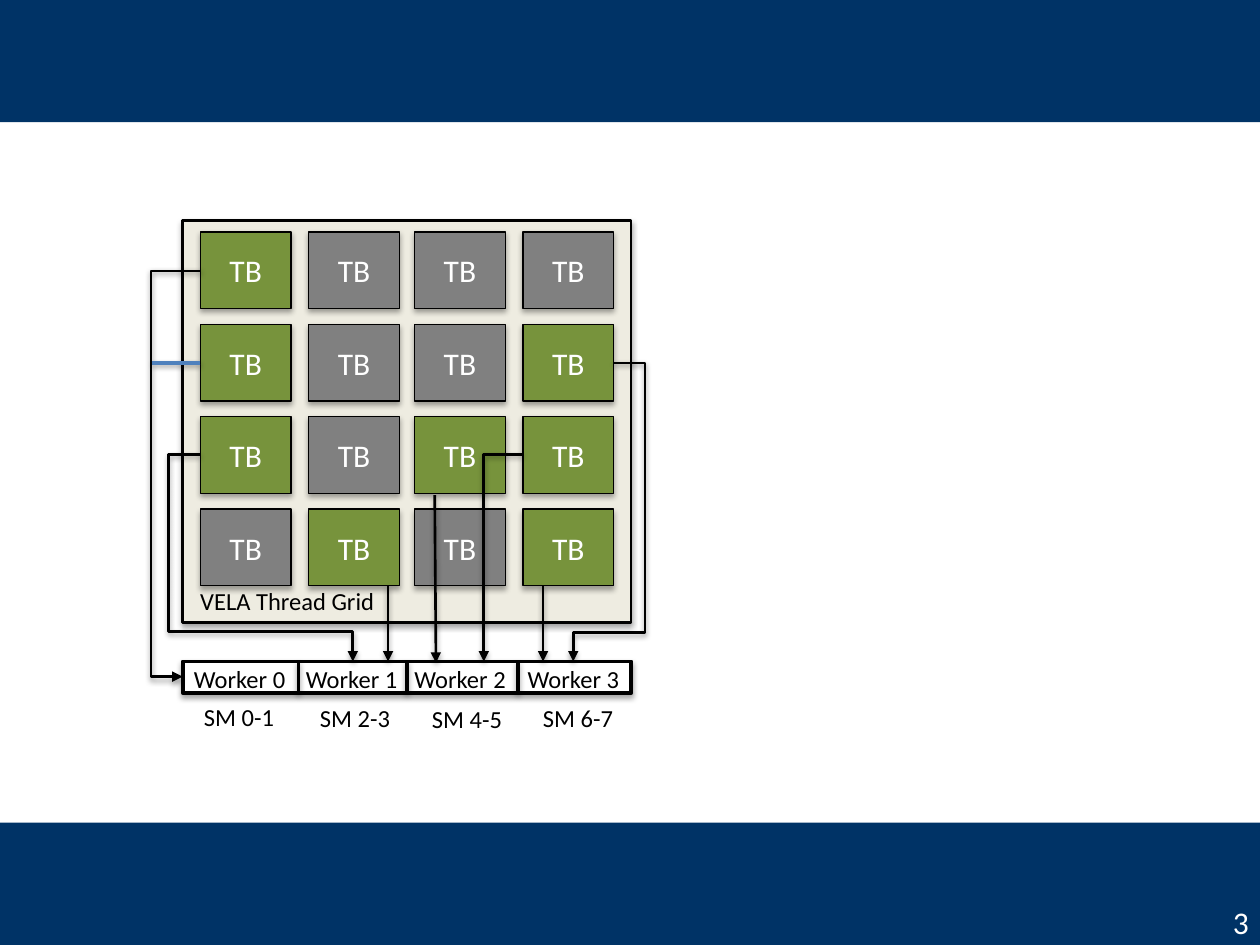
from dataclasses import dataclass

from lxml import etree
from pptx import Presentation
from pptx.dml.color import RGBColor
from pptx.enum.shapes import MSO_CONNECTOR, MSO_SHAPE
from pptx.enum.text import MSO_ANCHOR, PP_ALIGN
from pptx.oxml.ns import qn
from pptx.util import Inches, Pt

RECT = MSO_SHAPE.RECTANGLE
STRAIGHT, ELBOW = MSO_CONNECTOR.STRAIGHT, MSO_CONNECTOR.ELBOW
LEFT, CENTER, RIGHT = PP_ALIGN.LEFT, PP_ALIGN.CENTER, PP_ALIGN.RIGHT
TOP, MIDDLE = MSO_ANCHOR.TOP, MSO_ANCHOR.MIDDLE
COLORS = {
    "band": "003366", "grid": "EEECE1", "active": "77933C", "idle": "808080",
    "white": "FFFFFF", "black": "000000", "blue": "4F81BD",
}
FONT = "Calibri"
Point = tuple[float, float]


@dataclass
class Worker:
    name: str
    name_left: float
    multiprocessors: str
    sm_left: float
    sm_top: float


@dataclass
class Route:
    start: Point
    end: Point
    bends: tuple[float, ...] = ()  # x of the first bend, then y of the second
    preset: str = "line"
    color: str = "black"
    width: float = 1.5
    arrow: bool = True


def rgb(color: str) -> RGBColor:
    return RGBColor.from_string(COLORS[color])


def write(frame, text: str, *, size: float = 14, color: str = "black",
          align=LEFT, anchor=TOP) -> None:
    frame.word_wrap = True
    frame.vertical_anchor = anchor
    paragraph = frame.paragraphs[0]
    paragraph.alignment = align
    run = paragraph.add_run()
    run.text = text
    run.font.name, run.font.size = FONT, Pt(size)
    run.font.color.rgb = rgb(color)


def add_label(slide, text: str, left: float, top: float,
              width: float = 0.93, height: float = 0.34, **style) -> None:
    label = slide.shapes.add_textbox(*map(Inches, (left, top, width, height)))
    write(label.text_frame, text, **style)


def add_shadow(properties, distance: float, opacity: int) -> None:
    effects = properties.find(qn("a:effectLst"))
    if effects is None:
        effects = etree.SubElement(properties, qn("a:effectLst"))
    shadow = etree.SubElement(
        effects, qn("a:outerShdw"), blurRad=str(Pt(3.15)), dist=str(Pt(distance)),
        dir="5400000", rotWithShape="0")
    tint = etree.SubElement(shadow, qn("a:srgbClr"), val=COLORS["black"])
    etree.SubElement(tint, qn("a:alpha"), val=str(opacity * 1000))


def add_box(slide, left: float, top: float, width: float, height: float,
            fill: str, border: float = 0):
    box = slide.shapes.add_shape(RECT, *map(Inches, (left, top, width, height)))
    box.shadow.inherit = False
    box.fill.solid()
    box.fill.fore_color.rgb = rgb(fill)
    if border:
        box.line.color.rgb = rgb("black")
        box.line.width = Pt(border)
        add_shadow(box._element.spPr, 1.8, 35)
    else:
        box.line.fill.background()
    return box


def add_route(slide, route: Route) -> None:
    kind = STRAIGHT if route.preset == "line" else ELBOW
    line = slide.shapes.add_connector(kind, *map(Inches, route.start + route.end))
    line.line.color.rgb = rgb(route.color)
    line.line.width = Pt(route.width)
    properties = line._element.spPr
    geometry = properties.find(qn("a:prstGeom"))
    geometry.set("prst", route.preset)
    # Each bend is a share of the way from start to end along its axis
    guides = geometry.find(qn("a:avLst"))
    for axis, bend in enumerate(route.bends):
        share = (bend - route.start[axis]) / (route.end[axis] - route.start[axis])
        etree.SubElement(guides, qn("a:gd"), name=f"adj{axis + 1}",
                         fmla=f"val {round(share * 100000)}")
    if route.arrow:
        etree.SubElement(properties.find(qn("a:ln")), qn("a:tailEnd"), type="triangle")
    add_shadow(properties, 1.6, 38)


presentation = Presentation()
presentation.slide_width, presentation.slide_height = Inches(10), Inches(7.5)
slide = presentation.slides.add_slide(presentation.slide_layouts[6])

# Header and footer bands with the page number
for band_top in (0, 6.53):
    add_box(slide, 0, band_top, 10, 0.97, "band")
add_label(slide, "3", 7.68, 7.12, 2.33, 0.4, size=18, color="white", align=RIGHT)

# Thread grid: A is an active thread block, - an idle one
add_box(slide, 1.45, 1.75, 3.56, 3.19, "grid", 1.5)
BLOCK_LEFTS = (1.59, 2.45, 3.29, 4.15)
for row, states in enumerate(("A---", "A--A", "A-AA", "-A-A")):
    for block_left, state in zip(BLOCK_LEFTS, states):
        block = add_box(slide, block_left, 1.84 + row * 2.2 / 3, 0.72, 0.61,
                        "active" if state == "A" else "idle", 0.75)
        write(block.text_frame, "TB", size=18, color="white",
              align=CENTER, anchor=MIDDLE)

# Worker bar
WORKER_TOP, WORKER_BOTTOM = 5.25, 5.5
add_box(slide, 1.45, WORKER_TOP, 3.56, WORKER_BOTTOM - WORKER_TOP, "white", 2.25)
add_label(slide, "VELA Thread Grid", 1.49, 4.6, 2.62)
for divider in (3.23, 2.37, 4.11):
    add_route(slide, Route((divider, WORKER_TOP), (divider, WORKER_BOTTOM),
                           width=2, arrow=False))

# Routes from thread blocks to workers
ROUTES = (
    Route((1.59, 2.15), (1.45, 5.37), (1.2,), "bentConnector3"),
    Route((1.59, 2.88), (1.21, 2.88), color="blue", width=2, arrow=False),
    Route((1.59, 3.61), (2.8, WORKER_TOP), (1.34, 5.01), "bentConnector4"),
    Route((3.08, 4.65), (3.08, WORKER_TOP)),
    Route((3.45, 3.93), (3.46, 5.26)),
    Route((4.15, 3.61), (3.84, WORKER_TOP), preset="bentConnector2"),
    Route((4.87, 2.88), (4.55, WORKER_TOP), (5.12, 5.02), "bentConnector4"),
    Route((4.31, 4.65), (4.31, WORKER_TOP)),
)
for route in ROUTES:
    add_route(slide, route)

# Worker names and their multiprocessors
WORKERS = (
    Worker("Worker 0", 1.44, "SM 0-1", 1.52, 5.52),
    Worker("Worker 1", 2.33, "SM 2-3", 2.44, 5.53),
    Worker("Worker 2", 3.19, "SM 4-5", 3.33, 5.54),
    Worker("Worker 3", 4.09, "SM 6-7", 4.21, 5.53),
)
for worker in WORKERS:
    add_label(slide, worker.name, worker.name_left, 5.22)
    add_label(slide, worker.multiprocessors, worker.sm_left, worker.sm_top)

presentation.save("out.pptx")
